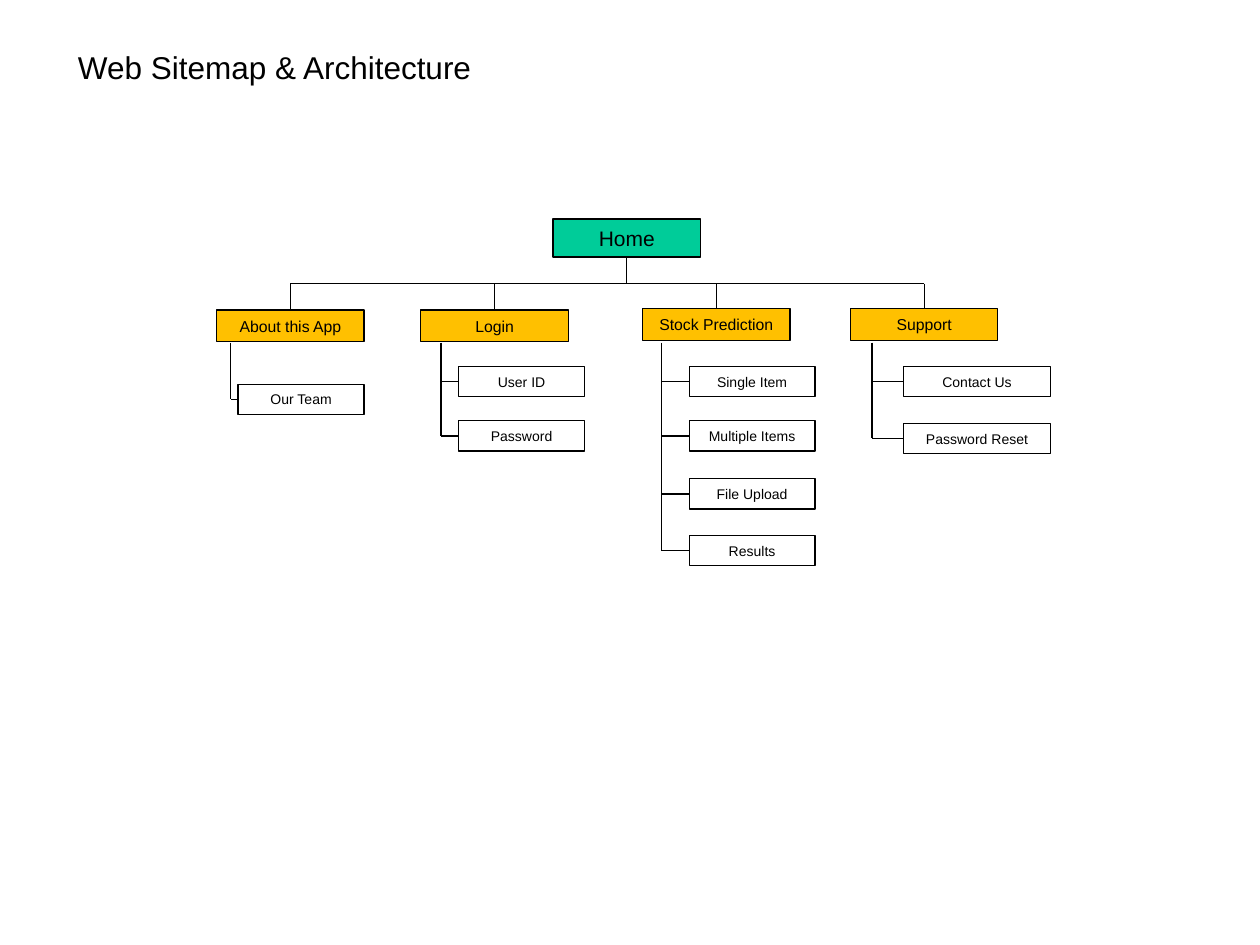
from dataclasses import dataclass

from lxml import etree
from pptx import Presentation
from pptx.dml.color import RGBColor
from pptx.enum.shapes import MSO_CONNECTOR, MSO_SHAPE
from pptx.enum.text import MSO_ANCHOR, PP_ALIGN
from pptx.oxml.ns import qn
from pptx.slide import Slide
from pptx.text.text import TextFrame
from pptx.util import Inches, Pt

RECTANGLE = MSO_SHAPE.RECTANGLE
STRAIGHT = MSO_CONNECTOR.STRAIGHT
MIDDLE = MSO_ANCHOR.MIDDLE
CENTER = PP_ALIGN.CENTER


@dataclass(frozen=True)
class Theme:
    font: str = "Arial"
    ink: RGBColor = RGBColor(0x00, 0x00, 0x00)
    home_fill: RGBColor = RGBColor(0x00, 0xCC, 0x99)
    section_fill: RGBColor = RGBColor(0xFF, 0xC0, 0x00)
    title_size: float = 18
    home_size: float = 12
    section_size: float = 9
    page_size: float = 8
    home_line: float = 1
    line: float = 0.75


@dataclass(frozen=True)
class Page:
    name: str
    top: float


@dataclass(frozen=True)
class Section:
    name: str
    left: float
    top: float
    trunk: float
    page_left: float
    page_width: float
    pages: tuple[Page, ...]


THEME = Theme()
BOX_WIDTH = 1.17
HOME_LEFT, HOME_TOP, HOME_HEIGHT = 4.39, 1.74, 0.3
SECTION_HEIGHT = 0.25
PAGE_HEIGHT = 0.24
BUS_TOP = 2.25
TRUNK_TOP = 2.72

SECTIONS = (
    Section("About this App", 1.72, 2.46, 1.83, 1.89, 1, (Page("Our Team", 3.05),)),
    Section("Login", 3.34, 2.46, 3.5, 3.64, 1,
            (Page("User ID", 2.91), Page("Password", 3.34))),
    Section("Stock Prediction", 5.1, 2.45, 5.25, 5.47, 1,
            (Page("Single Item", 2.91), Page("Multiple Items", 3.34),
             Page("File Upload", 3.8), Page("Results", 4.25))),
    Section("Support", 6.75, 2.45, 6.92, 7.17, BOX_WIDTH,
            (Page("Contact Us", 2.91), Page("Password Reset", 3.36))),
)


def write_text(frame: TextFrame, text: str, size: float) -> None:
    frame.vertical_anchor = MIDDLE
    paragraph = frame.paragraphs[0]
    paragraph.alignment = CENTER
    run = paragraph.add_run()
    run.text = text
    run.font.name = THEME.font
    run.font.size = Pt(size)
    run.font.color.rgb = THEME.ink


def add_box(slide: Slide, text: str, left: float, top: float, width: float,
            height: float, size: float, fill: RGBColor | None = None,
            line: float = THEME.line) -> None:
    shape = slide.shapes.add_shape(
        RECTANGLE, Inches(left), Inches(top), Inches(width), Inches(height))
    shape.shadow.inherit = False
    if fill is None:
        shape.fill.background()
    else:
        shape.fill.solid()
        shape.fill.fore_color.rgb = fill
    shape.line.color.rgb = THEME.ink
    shape.line.width = Pt(line)
    shape.text_frame.word_wrap = True
    write_text(shape.text_frame, text, size)


def add_line(slide: Slide, x1: float, y1: float, x2: float, y2: float) -> None:
    connector = slide.shapes.add_connector(
        STRAIGHT, Inches(x1), Inches(y1), Inches(x2), Inches(y2))
    connector.line.color.rgb = THEME.ink
    connector.line.width = Pt(THEME.line)
    etree.SubElement(connector.element.spPr, qn("a:effectLst"))


def add_title(slide: Slide, text: str) -> None:
    box = slide.shapes.add_textbox(Inches(0.51), Inches(0.33), Inches(3.34), Inches(0.4))
    box.text_frame.word_wrap = False
    write_text(box.text_frame, text, THEME.title_size)


def add_home(slide: Slide) -> None:
    """Draw the home box, its stem and the bar that reaches every section."""
    add_box(slide, "Home", HOME_LEFT, HOME_TOP, BOX_WIDTH, HOME_HEIGHT,
            THEME.home_size, THEME.home_fill, THEME.home_line)
    center = HOME_LEFT + BOX_WIDTH / 2
    add_line(slide, center, HOME_TOP + HOME_HEIGHT, center, BUS_TOP)
    for section in (SECTIONS[0], SECTIONS[-1]):
        add_line(slide, center, BUS_TOP, section.left + BOX_WIDTH / 2, BUS_TOP)


def add_section(slide: Slide, section: Section) -> None:
    """Draw a section box with its pages hanging from a trunk line."""
    add_box(slide, section.name, section.left, section.top, BOX_WIDTH,
            SECTION_HEIGHT, THEME.section_size, THEME.section_fill)
    center = section.left + BOX_WIDTH / 2
    add_line(slide, center, BUS_TOP, center, section.top)
    for page in section.pages:
        add_box(slide, page.name, section.page_left, page.top,
                section.page_width, PAGE_HEIGHT, THEME.page_size)
        middle = page.top + PAGE_HEIGHT / 2
        add_line(slide, section.page_left, middle, section.trunk, middle)
    trunk_bottom = section.pages[-1].top + PAGE_HEIGHT / 2
    add_line(slide, section.trunk, TRUNK_TOP, section.trunk, trunk_bottom)


def main() -> None:
    presentation = Presentation()
    presentation.slide_width = Inches(10)
    presentation.slide_height = Inches(7.5)
    slide = presentation.slides.add_slide(presentation.slide_layouts[6])
    add_title(slide, "Web Sitemap & Architecture")
    add_home(slide)
    for section in SECTIONS:
        add_section(slide, section)
    presentation.save("out.pptx")


if __name__ == "__main__":
    main()
